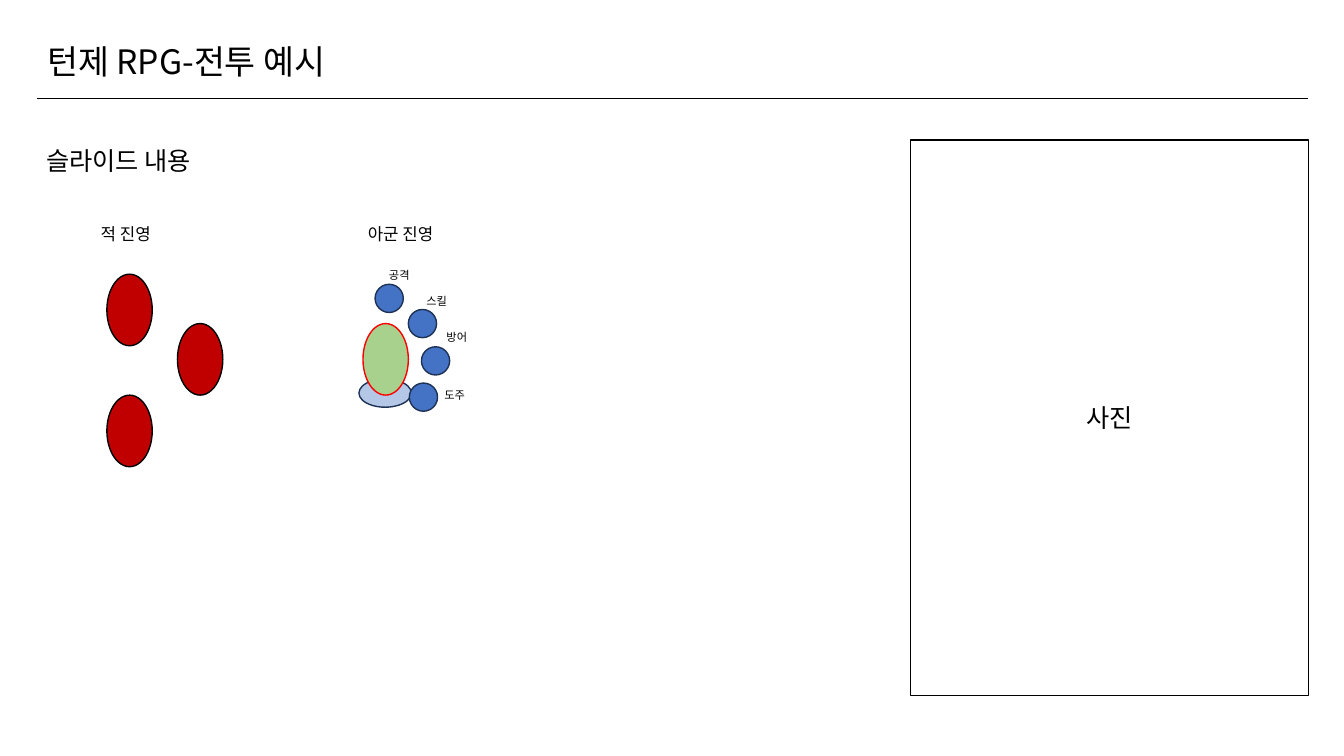
from lxml.etree import SubElement
from pptx import Presentation
from pptx.dml.color import RGBColor
from pptx.enum.shapes import MSO_CONNECTOR as Connector, MSO_SHAPE as Shape
from pptx.enum.text import MSO_ANCHOR as Anchor, MSO_AUTO_SIZE as AutoSize, PP_ALIGN as Align
from pptx.oxml.ns import qn
from pptx.util import Inches, Pt

FONT = "Noto Sans CJK KR"
BLACK, NAVY, RED = "000000", "1E3256", "FF0000"
ENEMY_RED, ALLY_GREEN, COMMAND_BLUE, BASE_BLUE = "C00000", "A9D18E", "4472C4", "B4C7E7"

presentation = Presentation()
presentation.slide_width = Inches(13.33)
presentation.slide_height = Inches(7.5)
slide = presentation.slides.add_slide(presentation.slide_layouts[6])


def add_outlined(kind, left, top, width, height, fill, line):
    """Add a preset shape with a 1 pt outline; a fill of None leaves it empty."""
    shape = slide.shapes.add_shape(kind, Inches(left), Inches(top), Inches(width), Inches(height))
    shape.shadow.inherit = False
    if fill:
        shape.fill.solid()
        shape.fill.fore_color.rgb = RGBColor.from_string(fill)
    else:
        shape.fill.background()
    shape.line.color.rgb = RGBColor.from_string(line)
    shape.line.width = Pt(1)
    return shape


def write_text(shape, text, size):
    paragraph = shape.text_frame.paragraphs[0]
    run = paragraph.add_run()
    run.text = text
    run.font.size = Pt(size)
    run.font.name = FONT
    run.font.color.rgb = RGBColor.from_string(BLACK)
    # Hangul takes its typeface from the East Asian font
    SubElement(run.font._element, qn("a:ea"), typeface=FONT)
    return paragraph


# Ground under the ally, behind everything else
add_outlined(Shape.OVAL, 3.56, 3.76, 0.52, 0.28, BASE_BLUE, NAVY)

# Rule under the title
rule = slide.shapes.add_connector(
    Connector.STRAIGHT, Inches(0.37), Inches(0.98), Inches(12.97), Inches(0.98))
rule.line.color.rgb = RGBColor.from_string(BLACK)
rule.line.width = Pt(0.5)
SubElement(rule._element.spPr, qn("a:effectLst"))

# Photo frame
photo = add_outlined(Shape.RECTANGLE, 9.03, 1.39, 3.95, 5.51, None, BLACK)
photo.text_frame.vertical_anchor = Anchor.MIDDLE
write_text(photo, "사진", 18).alignment = Align.CENTER

# Fighters
for left, top, fill, line in [
    (1.06, 2.72, ENEMY_RED, BLACK),
    (1.76, 3.21, ENEMY_RED, BLACK),
    (1.06, 3.92, ENEMY_RED, BLACK),
    (3.6, 3.21, ALLY_GREEN, RED),
]:
    add_outlined(Shape.OVAL, left, top, 0.45, 0.71, fill, line)

# Command buttons around the ally
for left, top in [(3.72, 2.82), (4.05, 3.07), (4.18, 3.44), (4.06, 3.8)]:
    add_outlined(Shape.OVAL, left, top, 0.28, 0.28, COMMAND_BLUE, NAVY)

# Title, headings and command labels
for text, size, left, top, width, height in [
    ("턴제 RPG-전투 예시", 24, 0.37, 0.36, 3.23, 0.5),
    ("슬라이드 내용", 18, 0.36, 1.39, 1.81, 0.4),
    ("공격", 8, 3.76, 2.61, 0.43, 0.24),
    ("스킬", 8, 4.13, 2.87, 0.43, 0.24),
    ("방어", 8, 4.33, 3.23, 0.43, 0.24),
    ("도주", 8, 4.31, 3.8, 0.43, 0.24),
    ("적 진영", 12, 0.9, 2.17, 0.77, 0.3),
    ("아군 진영", 12, 3.55, 2.17, 0.93, 0.3),
]:
    label = slide.shapes.add_textbox(Inches(left), Inches(top), Inches(width), Inches(height))
    label.text_frame.word_wrap = False
    label.text_frame.auto_size = AutoSize.SHAPE_TO_FIT_TEXT
    write_text(label, text, size)

presentation.save("out.pptx")
